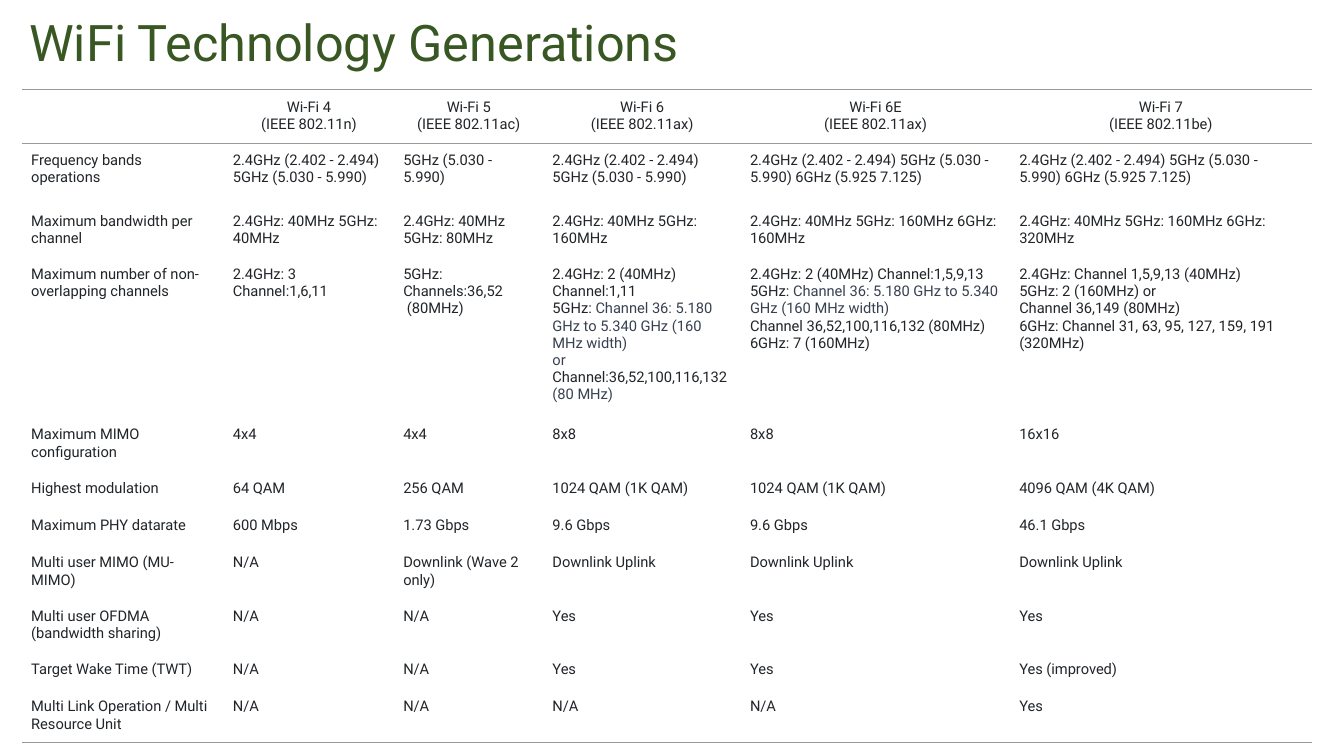
import pptx
import pptx.util
import pptx.dml.color
import pptx.enum.text
import pptx.oxml
import pptx.oxml.ns

Inches = pptx.util.Inches
Pt = pptx.util.Pt
RGBColor = pptx.dml.color.RGBColor
Align = pptx.enum.text.PP_ALIGN
Anchor = pptx.enum.text.MSO_ANCHOR

GREEN = RGBColor(0x38, 0x57, 0x23)
INK = RGBColor(0x21, 0x25, 0x29)
SLATE = RGBColor(0x37, 0x41, 0x51)
COAL = RGBColor(0x20, 0x21, 0x24)
RULE = RGBColor(0x99, 0x99, 0x99)
FONT = "Roboto"

TITLE = "WiFi Technology Generations"
WIDE = ("Channel 36: 5.180 GHz to 5.340 GHz (160 MHz width)", SLATE)
DUAL = "2.4GHz (2.402 - 2.494) 5GHz (5.030 - 5.990)"
TRI = DUAL + " 6GHz (5.925 7.125)"

# Each cell is a string, or a list of lines; a line is a string or a list of runs.
ROWS = [
    ["", ["Wi-Fi 4", "(IEEE 802.11n)"], ["Wi-Fi 5", "(IEEE 802.11ac)"],
     ["Wi-Fi 6", "(IEEE 802.11ax)"], ["Wi-Fi 6E", "(IEEE 802.11ax)"],
     ["Wi-Fi 7", "(IEEE 802.11be)"]],
    ["Frequency bands operations", DUAL, "5GHz (5.030 - 5.990)", DUAL, TRI, TRI],
    ["Maximum bandwidth per channel", "2.4GHz: 40MHz 5GHz: 40MHz",
     "2.4GHz: 40MHz 5GHz: 80MHz", "2.4GHz: 40MHz 5GHz: 160MHz",
     "2.4GHz: 40MHz 5GHz: 160MHz 6GHz: 160MHz",
     "2.4GHz: 40MHz 5GHz: 160MHz 6GHz: 320MHz"],
    ["Maximum number of non- overlapping channels",
     "2.4GHz: 3 Channel:1,6,11",
     ["5GHz: Channels:36,52", " (80MHz)"],
     ["2.4GHz: 2 (40MHz) Channel:1,11", ["5GHz: ", WIDE], [("or", SLATE)],
      ["Channel:36,52,100,116,132", ("(80 MHz)", SLATE)]],
     ["2.4GHz: 2 (40MHz) Channel:1,5,9,13", ["5GHz: ", WIDE],
      "Channel 36,52,100,116,132 (80MHz)", "6GHz: 7 (160MHz)"],
     ["2.4GHz: Channel 1,5,9,13 (40MHz)", "5GHz: 2 (160MHz) or",
      "Channel 36,149 (80MHz)",
      ["6GHz: Channel ", ("31, 63, 95, 127, 159, 191", COAL), " (320MHz)"]]],
    ["Maximum MIMO configuration", "4x4", "4x4", "8x8", "8x8", "16x16"],
    ["Highest modulation", "64 QAM", "256 QAM", "1024 QAM (1K QAM)",
     "1024 QAM (1K QAM)", "4096 QAM (4K QAM)"],
    ["Maximum PHY datarate", "600 Mbps", "1.73 Gbps", "9.6 Gbps", "9.6 Gbps",
     "46.1 Gbps"],
    ["Multi user MIMO (MU- MIMO)", "N/A", "Downlink (Wave 2 only)",
     "Downlink Uplink", "Downlink Uplink", "Downlink Uplink"],
    ["Multi user OFDMA (bandwidth sharing)", "N/A", "N/A", "Yes", "Yes", "Yes"],
    ["Target Wake Time (TWT)", "N/A", "N/A", "Yes", "Yes", "Yes (improved)"],
    ["Multi Link Operation / Multi Resource Unit", "N/A", "N/A", "N/A", "N/A",
     "Yes"],
]
COLS = [2, 1.69, 1.48, 1.96, 2.67, 2.99]
ONE, TWO = 0.37, 0.53
TALL = [TWO, 0.6, TWO, 1.59, TWO, ONE, ONE, TWO, TWO, ONE, TWO]
LEFT, TOP, PAD = 0.22, 0.89, 0.09
PLAIN = "{2D5ABB26-0587-4C30-8999-92F81FD0307C}"


def add_run(para, text, size, color):
    run = para.add_run()
    run.text = text
    run.font.name = FONT
    run.font.size = Pt(size)
    run.font.color.rgb = color


def add_rule(cell, side):
    ns = pptx.oxml.ns.nsdecls("a")
    cell._tc.get_or_add_tcPr().append(pptx.oxml.parse_xml(
        f'<a:{side} {ns} w="{Pt(1)}"><a:solidFill><a:srgbClr val="{RULE}"/>'
        f'</a:solidFill></a:{side}>'))


def fill_cell(cell, lines, align):
    cell.margin_left = cell.margin_right = Inches(PAD)
    cell.margin_top = cell.margin_bottom = Inches(PAD)
    cell.vertical_anchor = Anchor.TOP
    frame = cell.text_frame
    for i, line in enumerate([lines] if isinstance(lines, str) else lines):
        para = frame.add_paragraph() if i else frame.paragraphs[0]
        para.alignment = align
        for part in [line] if isinstance(line, str) else line:
            text, color = (part, INK) if isinstance(part, str) else part
            if text:
                add_run(para, text, 10.5, color)


def add_grid(slide):
    frame = slide.shapes.add_table(
        len(ROWS), len(COLS), Inches(LEFT), Inches(TOP),
        Inches(sum(COLS)), Inches(sum(TALL)))
    grid = frame.table
    grid.first_row = grid.horz_banding = False
    grid._tbl.tblPr.find(pptx.oxml.ns.qn("a:tableStyleId")).text = PLAIN
    for col, width in zip(grid.columns, COLS):
        col.width = Inches(width)
    for r, row in enumerate(ROWS):
        grid.rows[r].height = Inches(TALL[r])
        for c, lines in enumerate(row):
            cell = grid.cell(r, c)
            fill_cell(cell, lines, Align.LEFT if r else Align.CENTER)
            if r == 0:
                add_rule(cell, "lnT")
            if r in (0, len(ROWS) - 1):
                add_rule(cell, "lnB")
            cell.fill.background()


def main():
    deck = pptx.Presentation()
    deck.slide_width, deck.slide_height = Inches(13.33), Inches(7.5)
    slide = deck.slides.add_slide(deck.slide_layouts[5])
    add_grid(slide)
    title = slide.shapes.title
    title.left, title.top = Inches(0.19), 0
    title.width, title.height = Inches(12.4), Inches(TOP)
    title.text_frame.vertical_anchor = Anchor.MIDDLE
    para = title.text_frame.paragraphs[0]
    para.alignment = Align.LEFT
    para.line_spacing = 0.9
    add_run(para, TITLE, 36, GREEN)
    deck.save("out.pptx")


if __name__ == "__main__":
    main()
